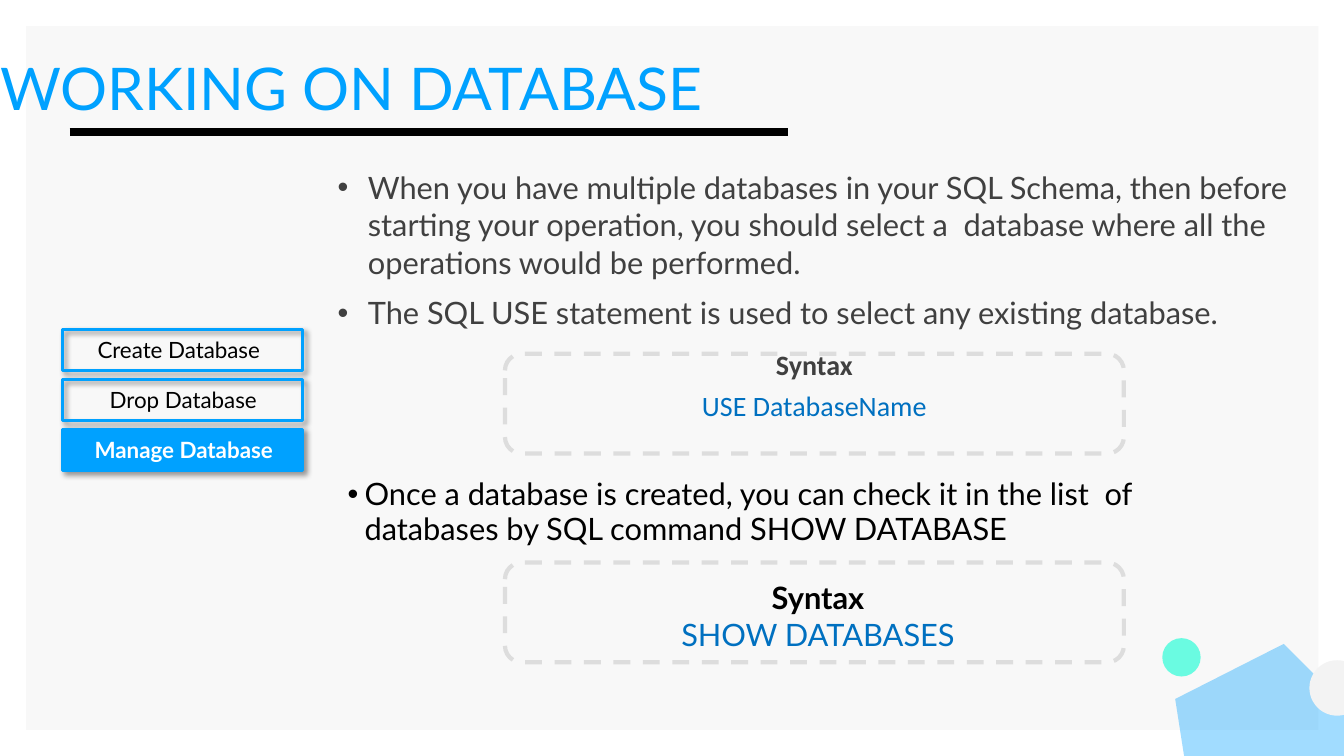
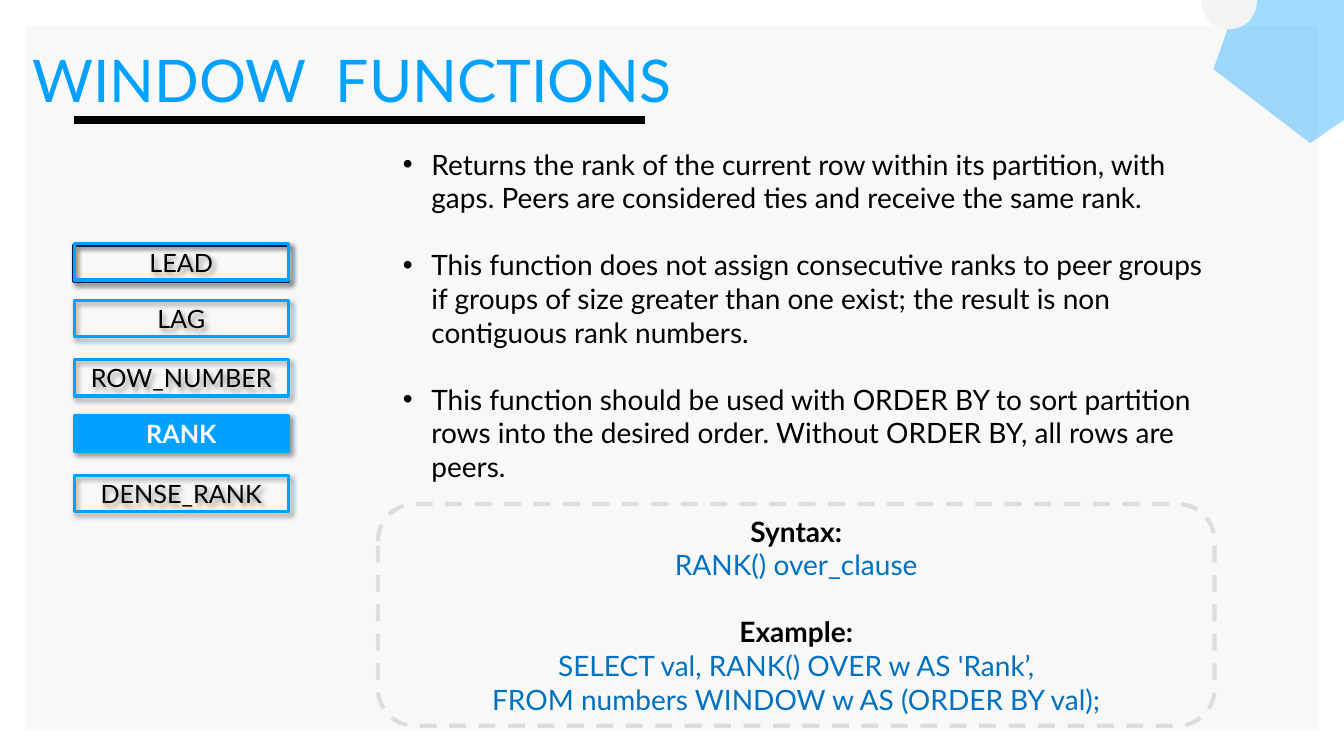
from lxml import etree
from pptx import Presentation
from pptx.dml.color import RGBColor
from pptx.enum.dml import MSO_LINE
from pptx.enum.shapes import MSO_CONNECTOR, MSO_SHAPE
from pptx.enum.text import MSO_ANCHOR, MSO_AUTO_SIZE, PP_ALIGN
from pptx.oxml.ns import qn
from pptx.util import Pt

RECT, ROUNDED = MSO_SHAPE.RECTANGLE, MSO_SHAPE.ROUNDED_RECTANGLE
OVAL, PENTAGON = MSO_SHAPE.OVAL, MSO_SHAPE.REGULAR_PENTAGON
LEFT, CENTER = PP_ALIGN.LEFT, PP_ALIGN.CENTER
TOP, MIDDLE = MSO_ANCHOR.TOP, MSO_ANCHOR.MIDDLE
DASH, STRAIGHT = MSO_LINE.DASH, MSO_CONNECTOR.STRAIGHT
NO_FIT = MSO_AUTO_SIZE.NONE

BLUE = RGBColor(0x00, 0xA1, 0xFF)
CODE_BLUE = RGBColor(0x00, 0x70, 0xC0)
NAVY = RGBColor(0x00, 0x20, 0x60)
MINT = RGBColor(0x00, 0xFF, 0xD0)
BLACK = RGBColor(0, 0, 0)
WHITE = RGBColor(0xFF, 0xFF, 0xFF)
DARK_GRAY = RGBColor(0x40, 0x40, 0x40)
DASH_GRAY = RGBColor(0xDD, 0xDD, 0xDD)
DOT_GRAY = RGBColor(0xF3, 0xF3, 0xF3)
PANEL_GRAY = RGBColor(0xF8, 0xF8, 0xF8)

FLAT = (0, 0.72, 0, 0)
PADDED = (7.2, 3.6, 7.2, 3.6)
ROOMY = (7.2, 7.2, 7.2, 7.2)

TITLE = dict(size=Pt(42), name="Lato", color=BLUE)
HEAD = dict(size=Pt(22), name="Lato", color=BLACK, bold=True)
CODE = dict(size=Pt(22), name="Lato", color=CODE_BLUE)
HEAD_20, CODE_20 = HEAD | dict(size=Pt(20)), CODE | dict(size=Pt(20))
HEAD_CAL = HEAD_20 | dict(name="Calibri", color=DARK_GRAY)
CODE_CAL = CODE_20 | dict(name="Calibri")
BODY_GRAY = dict(size=Pt(22), name="Lato", color=DARK_GRAY)
BODY = dict(size=Pt(22), name="Lato", color=BLACK)
BODY_20 = BODY | dict(size=Pt(20))

PANEL = (18.7, 18.7, 923, 502.6)

DATABASE = dict(
    title="WORKING ON DATABASE", title_at=(0, 36, 738, 39.6), rule=(49.7, 563, 94.3),
    decor=[(PENTAGON, (841.7, 465.1, 141.1, 133.9), 81.1, BLUE, 37),
           (OVAL, (830.2, 455.8, 27.4, 27.4), 0, MINT, 57),
           (OVAL, (935.3, 471.6, 39.6, 39.6), 0, DOT_GRAY, 100)],
    frames=[(360.7, 252.7, 442.1, 71.3), (360.7, 401.8, 442.1, 71.3)],
    texts=[
        dict(at=(239, 119.5, 685.4, 133.2), insets=FLAT, bullet=(23.8, -21.6), paragraphs=[
            ("When you have multiple databases in your SQL Schema, then before starting "
             "your operation, you should select a  database where all the operations "
             "would be performed.", BODY_GRAY, 0, 1.01),
            ("The SQL USE statement is used to select any existing database.",
             BODY_GRAY, 9.9, 1)]),
        dict(at=(239, 252, 685.4, 71.3), insets=FLAT, align=CENTER, paragraphs=[
            ("Syntax", HEAD_CAL, 0, 0.8), ("USE DatabaseName", CODE_CAL, 9.9, 0.8)]),
        dict(at=(239, 334.1, 620.6, 71.3), insets=ROOMY, bullet=(14.4, -12.2), paragraphs=[
            ("Once a database is created, you can check it in the list  of databases "
             "by SQL command SHOW DATABASE", BODY, 0, 0.94)]),
        dict(at=(352.8, 409.7, 463, 55.4), align=CENTER, paragraphs=[
            ("Syntax", HEAD, 0, 1), ("SHOW DATABASES", CODE, 0, 1)]),
    ])
DATABASE_MENU = [("Create Database", 62.6, 136), ("Drop Database", 71.3, 124),
                 ("Manage Database", 60.5, 148)]

WINDOW = dict(
    title="WINDOW  FUNCTIONS", title_at=(23, 30.2, 936.7, 39.6), rule=(52.6, 460.8, 85.7),
    decor=[(PENTAGON, (863.3, -44.6, 141.1, 133.9), 325.4, BLUE, 37),
           (OVAL, (858.2, -18.7, 39.6, 39.6), 0, DOT_GRAY, 100)],
    frames=[(270, 360, 597.6, 158.4)],
    texts=[
        dict(at=(278.6, 101.5, 597.6, 203.8), bullet=(22.5, -20.3), paragraphs=[
            ("Returns the rank of the current row within its partition, with gaps. "
             "Peers are considered ties and receive the same rank.", BODY_20, 0, 1),
            ("This function does not assign consecutive ranks to peer groups if groups "
             "of size greater than one exist; the result is non contiguous rank numbers.",
             BODY_20, 24, 1),
            ("This function should be used with ORDER BY to sort partition rows into the "
             "desired order. Without ORDER BY, all rows are peers.", BODY_20, 24, 1)]),
        dict(at=(270, 360, 597.6, 158.4), align=CENTER, anchor=MIDDLE, paragraphs=[
            ("Syntax:", HEAD_20, 0, 1), ("RANK() over_clause", CODE_20, 0, 1),
            ("Example:", HEAD_20, 24, 1),
            ("SELECT val, RANK() OVER w AS 'Rank’,", CODE_20, 0, 1),
            ("FROM numbers WINDOW w AS (ORDER BY val);", CODE_20, 0, 1)]),
    ])
WINDOW_MENU = [("LEAD", 174.2), ("LAG", 214.6), ("ROW_NUMBER", 257),
               ("RANK", 296.6), ("DENSE_RANK", 339.8)]


def place(at):
    return [Pt(length) for length in at]


def add_child(parent, tag, **attributes):
    return etree.SubElement(parent, qn(tag), attributes)


def add_figure(slide, kind, at, fill=None, line=None, weight=2.25):
    figure = slide.shapes.add_shape(kind, *place(at))
    figure.shadow.inherit = False
    if fill is None:
        figure.fill.background()
    else:
        figure.fill.solid()
        figure.fill.fore_color.rgb = fill
    if line is None:
        figure.line.fill.background()
    else:
        figure.line.color.rgb = line
        figure.line.width = Pt(weight)
    return figure


def cast_shadow(figure):
    effects = figure._element.spPr.find(qn("a:effectLst"))
    shadow = add_child(effects, "a:outerShdw", blurRad=str(Pt(4)), dist=str(Pt(3)),
                       dir="2700000", algn="tl", rotWithShape="0")
    add_child(add_child(shadow, "a:srgbClr", val="000000"), "a:alpha", val="40000")


def write(frame, paragraphs, insets=PADDED, align=LEFT, anchor=TOP, bullet=None):
    left, top, right, bottom = place(insets)
    settings = dict(word_wrap=True, auto_size=NO_FIT, vertical_anchor=anchor, margin_left=left,
                    margin_top=top, margin_right=right, margin_bottom=bottom)
    for key, value in settings.items():
        setattr(frame, key, value)
    for index, (text, style, before, spacing) in enumerate(paragraphs):
        paragraph = frame.add_paragraph() if index else frame.paragraphs[0]
        if bullet:
            properties = paragraph._p.get_or_add_pPr()
            properties.set("marL", str(Pt(bullet[0])))
            properties.set("indent", str(Pt(bullet[1])))
            add_child(properties, "a:buFont", typeface="Arial")
            add_child(properties, "a:buChar", char="•")
        paragraph.alignment = align
        paragraph.line_spacing = spacing
        paragraph.space_before = Pt(before)
        run = paragraph.add_run()
        run.text = text
        for key, value in style.items():
            if key == "color":
                run.font.color.rgb = value
            else:
                setattr(run.font, key, value)


def add_text(slide, at, **content):
    write(slide.shapes.add_textbox(*place(at)).text_frame, **content)


def menu_style(active, size):
    return dict(size=Pt(size), name="Lato", color=WHITE if active else BLACK, bold=active)


def add_button(slide, at, active, line=BLUE):
    button = add_figure(slide, RECT, at, BLUE if active else None, line)
    cast_shadow(button)
    return button


def add_database_menu(slide):
    for row, (label, left, width) in enumerate(DATABASE_MENU):
        top = 235.4 + row * 35.6
        active = label == "Manage Database"
        add_button(slide, (44.6, top, 171.4, 29.5), active)
        add_text(slide, (left, top + 1.2, width, 28.8),
                 paragraphs=[(label, menu_style(active, 16), 0, 1)])


def add_window_menu(slide):
    add_button(slide, (52.6, 175, 153.4, 25.9), False, NAVY)
    for label, top in WINDOW_MENU:
        active = label == "RANK"
        button = add_button(slide, (53, top, 153, 25.9), active)
        write(button.text_frame, [(label, menu_style(active, 18), 0, 1)],
              align=CENTER, anchor=MIDDLE)


def add_slide(deck, layout, content, add_menu):
    slide = deck.slides.add_slide(layout)
    title = slide.shapes.title
    title.left, title.top, title.width, title.height = place(content["title_at"])
    write(title.text_frame, [(content["title"], TITLE, 0, 1)], insets=FLAT)
    for kind, at, rotation, color, opacity in content["decor"]:
        figure = add_figure(slide, kind, at, color)
        figure.rotation = rotation
        if opacity < 100:
            tint = figure._element.spPr.find(qn("a:solidFill"))[0]
            add_child(tint, "a:alpha", val=str(opacity * 1000))
    start, end, y = place(content["rule"])
    rule = slide.shapes.add_connector(STRAIGHT, start, y, end, y)
    rule.line.color.rgb = BLACK
    rule.line.width = Pt(6)
    add_child(rule._element.spPr, "a:effectLst")
    add_menu(slide)
    for at in content["frames"]:
        add_figure(slide, ROUNDED, at, line=DASH_GRAY, weight=3).line.dash_style = DASH
    for block in content["texts"]:
        add_text(slide, **block)
    return slide


def main():
    deck = Presentation()
    deck.slide_width, deck.slide_height = Pt(960), Pt(540)
    layout = deck.slide_layouts[5]
    first = add_slide(deck, layout, DATABASE, add_database_menu)
    add_slide(deck, layout, WINDOW, add_window_menu)
    panel = add_figure(first, RECT, PANEL, PANEL_GRAY)
    layout.shapes._spTree.insert(2, panel._element)
    deck.save("out.pptx")


if __name__ == "__main__":
    main()
